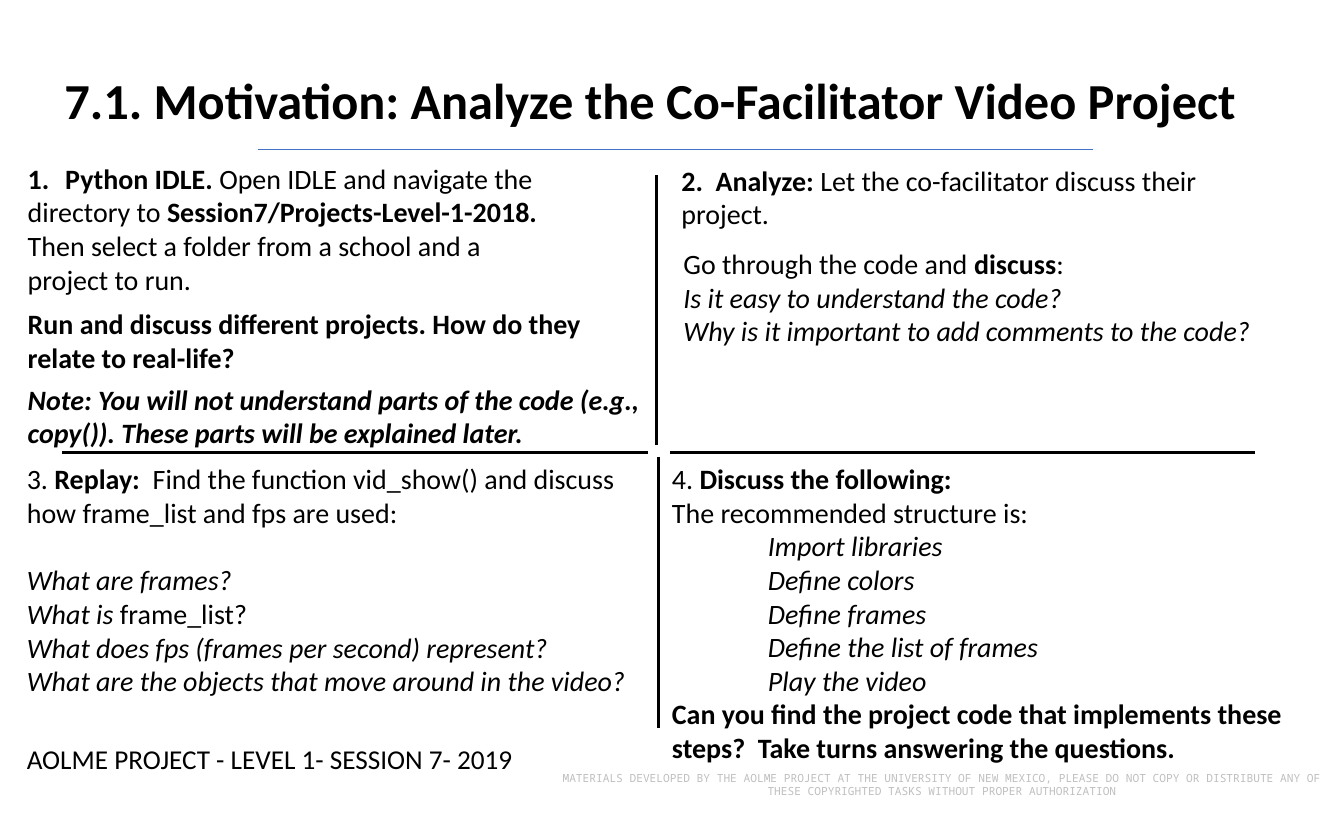
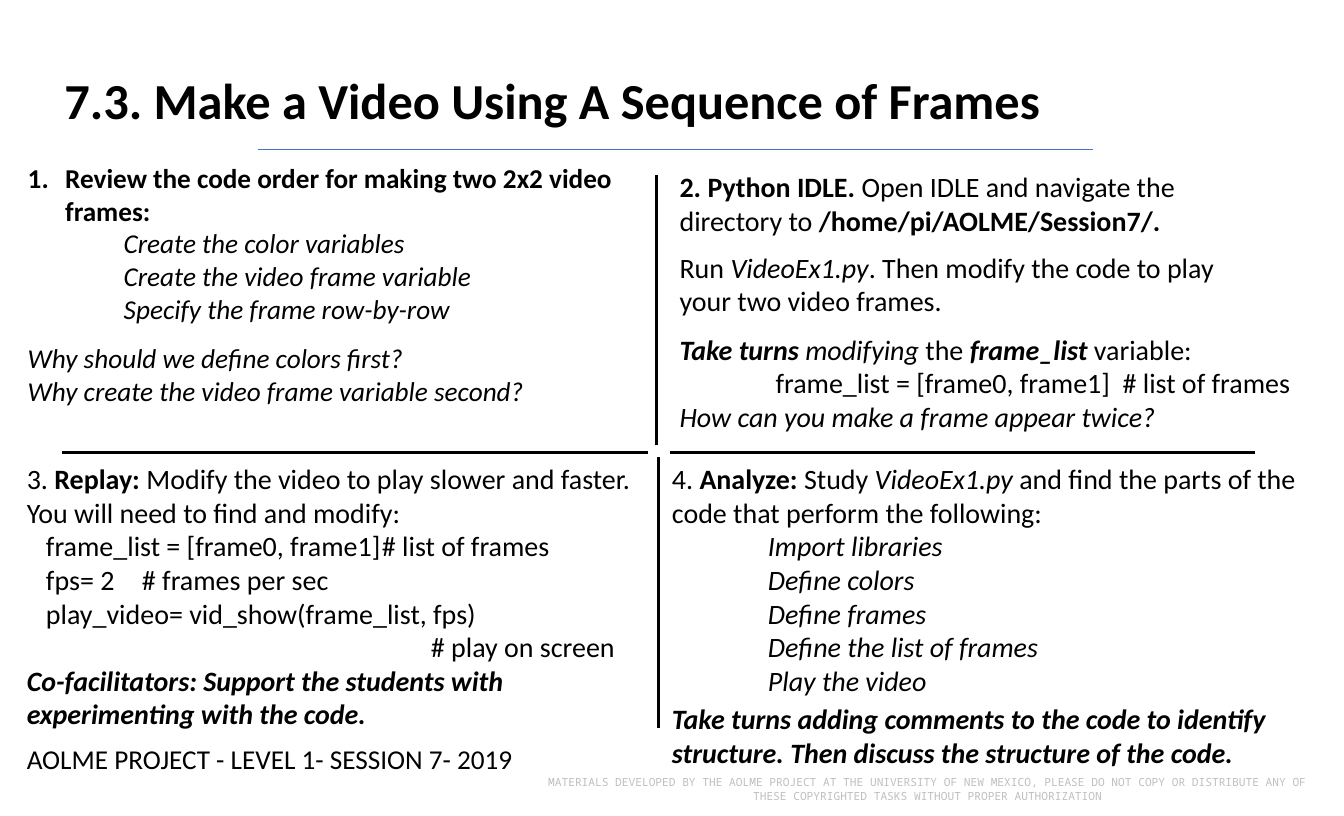
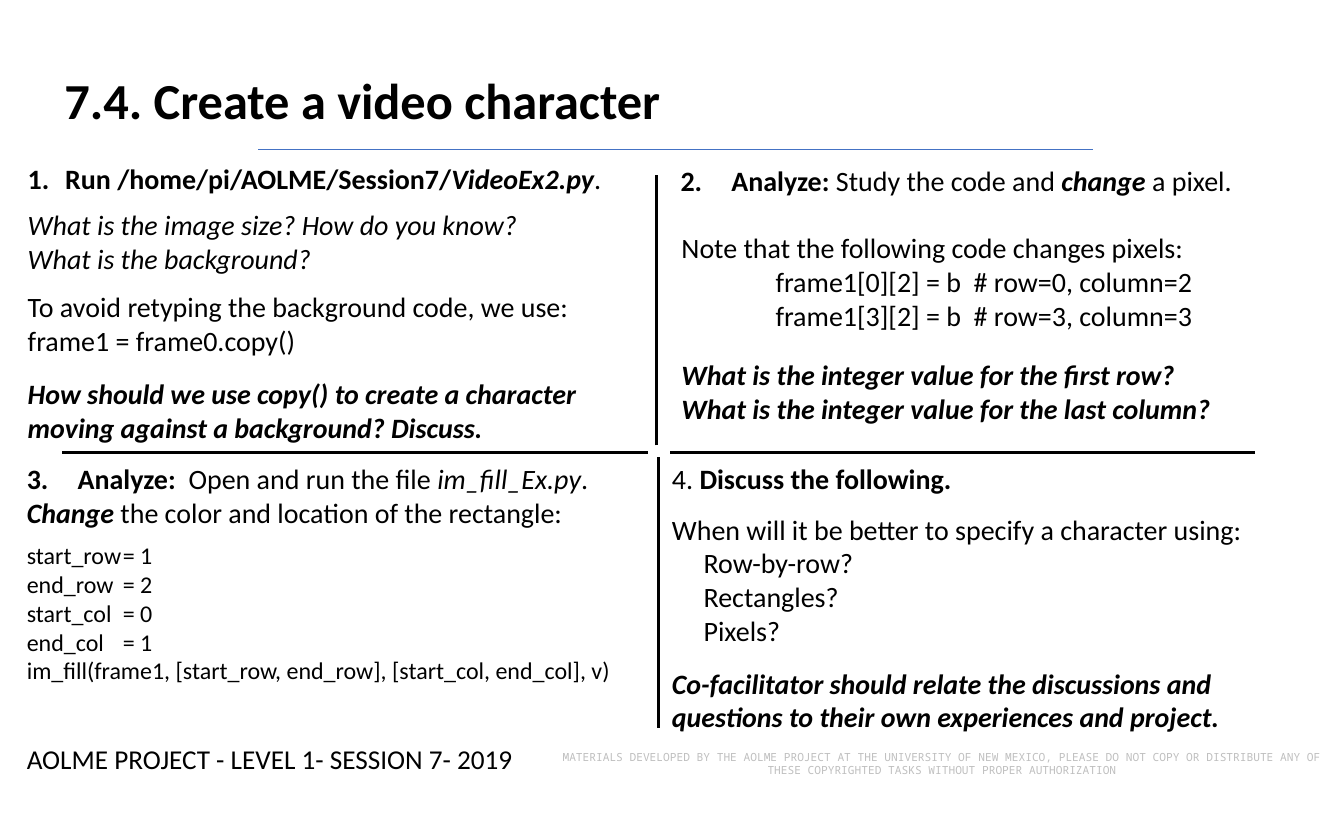
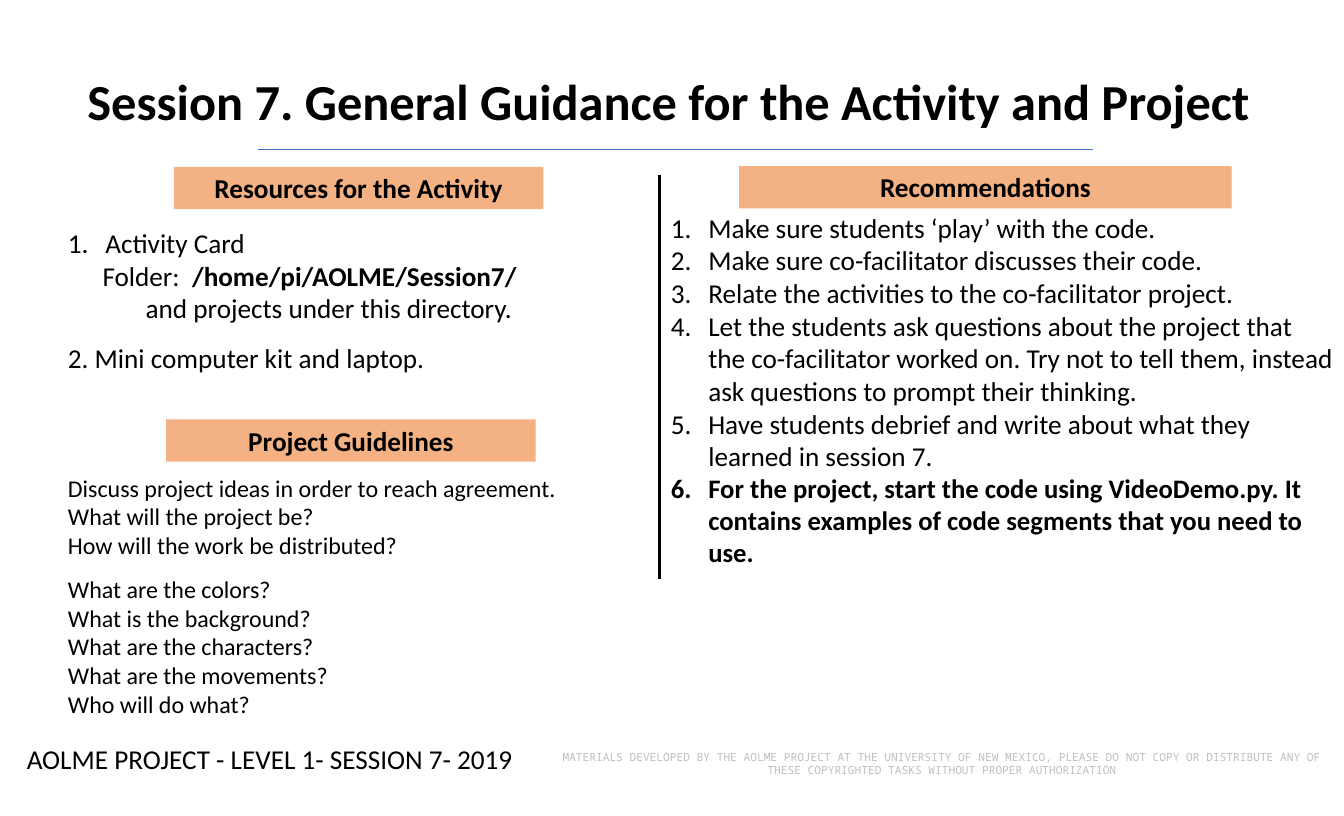
from lxml import etree
from pptx import Presentation
from pptx import util as u
from pptx.dml import color
from pptx.enum import shapes, text
from pptx.oxml import ns

BLACK, BLUE, PEACH, GREY = "000000", "4472C4", "F4B183", "BFBFBF"
LEFT, MID = text.PP_ALIGN.LEFT, text.PP_ALIGN.CENTER
FOOT = "AOLME PROJECT - LEVEL 1- SESSION 7- 2019"
NOTICE = ("MATERIALS DEVELOPED BY THE AOLME PROJECT AT THE UNIVERSITY OF NEW MEXICO, "
          "PLEASE DO NOT COPY OR DISTRIBUTE ANY OF THESE COPYRIGHTED TASKS "
          "WITHOUT PROPER AUTHORIZATION")

deck = Presentation()
deck.slide_width, deck.slide_height = u.Inches(14), u.Inches(8.5)
COL, ROW = deck.slide_width / 100, deck.slide_height / 100


def paint(fill, tint):
    fill.solid()
    fill.fore_color.rgb = color.RGBColor.from_string(tint)


def write(frame, lines, size=21, font="Calibri", tint=BLACK, bold=False,
          align=LEFT, anchor=text.MSO_ANCHOR.TOP, wrap=True):
    frame.word_wrap = wrap
    frame.auto_size = text.MSO_AUTO_SIZE.SHAPE_TO_FIT_TEXT
    frame.vertical_anchor = anchor
    for n, item in enumerate(lines):
        words, opt = (item, {}) if isinstance(item, str) else item
        para = frame.add_paragraph() if n else frame.paragraphs[0]
        para.alignment = align
        para.space_before = u.Pt(round(opt.get("gap", 0) * 1.22, 1))
        props = para._p.get_or_add_pPr()
        props.set("marL", str(u.Inches(opt.get("ind", 0))))
        props.set("indent", str(-u.Inches(opt.get("hang", 0))))
        if "num" in opt:
            mark = etree.SubElement(props, ns.qn("a:buAutoNum"), type="arabicPeriod")
            mark.set("startAt", str(opt["num"]))
        if "tab" in opt:
            stops = etree.SubElement(props, ns.qn("a:tabLst"))
            etree.SubElement(stops, ns.qn("a:tab"), pos=str(u.Inches(opt["tab"])), algn="l")
        slant = False
        for i, chunk in enumerate(words.split("*")):
            for j, part in enumerate(chunk.split("~")):
                slant ^= j > 0
                if part:
                    run = para.add_run()
                    run.text = part
                    face = run.font
                    face.name, face.size = font, u.Pt(opt.get("size", size))
                    face.bold, face.italic = bold or i % 2 == 1, slant
                    paint(face.fill, tint)


STEP = {"ind": 0.39, "hang": 0.39, "num": 1}
DEEP = {"ind": 1}
NUDGE = {"ind": 0.02}
CODE = {"ind": 0.2, "tab": 4.21}
VARS = {"size": 18, "tab": 1.08}

parts = [(f"~{name}~", DEEP) for name in (
    "Import libraries", "Define colors", "Define frames",
    "Define the list of frames", "Play the video")]

cross = [(4.64, 55.41, 48.21, 55.41), (49.86, 55.41, 93.36, 55.41),
         (49, 89.18, 49, 56), (48.86, 54.59, 48.86, 21.41)]
split = [(49.07, 70.94, 49.07, 21.41)]

pages = [
    dict(title="7.1. Motivation: Analyze the Co-Facilitator Video Project",
         head=(4.07, 7.88), bars=cross, note=(40.43, 93.76), tags=[], boxes=[
             ((49.86, 19.41, 46.21, 13.65), 21, [
                 ("*2.  Analyze: *Let the co-facilitator discuss their project.", NUDGE)]),
             ((49.29, 56, 49.79, 38.59), 21, [
                 "4. *Discuss the following:*",
                 "The recommended structure is:",
                 *parts,
                 "*Can you find the project code that implements these steps?  "
                 "Take turns answering the questions.*"]),
             ((1.29, 56, 47.64, 34.47), 21, [
                 "3. *Replay:  *Find the function vid_show() and discuss how "
                 "frame_list and fps are used:",
                 ("~What are frames?~", {"gap": 21}),
                 "~What is ~frame_list?",
                 "~What does fps (frames per second) represent?~",
                 "~What are the objects that move around in the video?~"]),
             ((1.36, 19.18, 50.21, 42.12), 21, [
                 ("*Python IDLE. *Open IDLE and navigate the", STEP),
                 "directory to *Session7/Projects-Level-1-2018.*",
                 "Then select a folder from a school and a",
                 "project to run.",
                 ("*Run and discuss different projects. How do they*", {"gap": 7}),
                 "*relate to real-life?*",
                 ("*~Note: You will not understand parts of the code (e.g., copy()). "
                  "These parts will be explained later.~*", {"gap": 5})]),
             ((50, 29.65, 48.71, 13.65), 21, [
                 ("Go through the code and *discuss*:", NUDGE),
                 ("~Is it easy to understand the code?~", NUDGE),
                 ("~Why is it important to add comments to the code?~", NUDGE)])]),
    dict(title="7.3. Make a Video Using A Sequence of Frames",
         head=(4.07, 7.88), bars=cross, note=(39.36, 94.35), tags=[], boxes=[
             ((49.29, 56, 49.79, 39.18), 21, [
                 "4. *Analyze:* Study ~VideoEx1.py~ and find the parts of the code "
                 "that perform the following:",
                 *parts,
                 ("*~Take turns adding comments to the code to identify structure. "
                  "Then discuss the structure of the code.~*", {"gap": 3.1})]),
             ((1.29, 56, 47.64, 34.47), 21, [
                 "3. *Replay: *Modify the video to play slower and faster.",
                 "You will need to find and modify:",
                 ("frame_list = [frame0, frame1]\t# list of frames", CODE),
                 ("fps= 2\t# frames per sec", CODE),
                 ("play_video= vid_show(frame_list, fps)", CODE),
                 ("# play on screen", {"ind": 4.21}),
                 "*~Co-facilitators: Support the students with experimenting "
                 "with the code.~*"]),
             ((1.36, 19.18, 45.57, 32.59), 20.4, [
                 ("*Review the code order for making two 2x2 video frames:*", STEP),
                 ("~Create the color variables~", DEEP),
                 ("~Create the video frame variable~", DEEP),
                 ("~Specify the frame row-by-row~", DEEP),
                 ("~Why should we define colors first?~", {"gap": 10.5}),
                 "~Why create the video frame variable second?~"]),
             ((49.86, 20.24, 50.21, 37.76), 21, [
                 "*2. Python IDLE. *Open IDLE and navigate the",
                 "directory to */home/pi/AOLME/Session7/.*",
                 ("Run ~VideoEx1.py~. Then modify the code to play", {"gap": 8}),
                 "your two video frames.",
                 ("*~Take turns*~~ modifying ~the *~frame_list *~variable:", {"gap": 9}),
                 ("frame_list = [frame0, frame1]  # list of frames", DEEP),
                 "~How can you make a frame appear twice?~"])]),
    dict(title="7.4. Create a video character",
         head=(4.07, 7.88), bars=cross, note=(40.43, 91.18), tags=[], boxes=[
             ((49.86, 19.41, 46.21, 34.47), 21, [
                 ("*Analyze: *Study the code and *~change~* a pixel.",
                  {"ind": 0.54, "hang": 0.53, "num": 2}),
                 ("Note that the following code changes pixels:", {**NUDGE, "gap": 21}),
                 ("frame1[0][2] = b  # row=0, column=2", DEEP),
                 ("frame1[3][2] = b  # row=3, column=3", DEEP),
                 ("*~What is the integer value for the first row?~*", {**NUDGE, "gap": 16}),
                 ("*~What is the integer value for the last column?~*", NUDGE)]),
             ((49.29, 56, 49.79, 34.71), 21, [
                 "4. *Discuss the following.*",
                 ("When will it be better to specify a character using:", {"gap": 10.5}),
                 *[(way, {"ind": 0.33}) for way in ("Row-by-row?", "Rectangles?", "Pixels?")],
                 ("*~Co-facilitator should relate the discussions and questions "
                  "to their own experiences and project.~*", {"gap": 12})]),
             ((1.29, 56, 47.64, 28.82), 21, [
                 ("*Analyze:  *Open and run the file ~im_fill_Ex.py~.",
                  {"ind": 0.53, "hang": 0.53, "num": 3}),
                 "*~Change~* the color and location of the rectangle:",
                 ("start_row\t= 1", {**VARS, "gap": 7.3}),
                 ("end_row\t= 2", VARS),
                 ("start_col\t= 0", VARS),
                 ("end_col\t= 1", VARS),
                 ("im_fill(frame1, [start_row, end_row], [start_col, end_col], v)", VARS)]),
             ((1.36, 19.18, 50.21, 36), 21, [
                 ("*Run /home/pi/AOLME/Session7/~VideoEx2.py~*.", STEP),
                 ("~What is the image size? How do you know?~", {"gap": 8}),
                 "~What is the background?~",
                 ("To avoid retyping the background code, we use:", {"gap": 9}),
                 "frame1 = frame0.copy()",
                 ("*~How should we use copy() to create a character~*", {"gap": 12}),
                 "*~moving against a background? Discuss.~*"])]),
    dict(title="Session 7. General Guidance for the Activity and Project",
         head=(5.79, 8), bars=split, note=(40.43, 91.18),
         tags=[("Resources for the Activity", 12.93, 20.47, 27.5),
               ("Recommendations", 55, 20.35, 36.64),
               ("Project Guidelines", 12.36, 51.41, 27.5)], boxes=[
             ((4.21, 27.18, 43.57, 23.41), 20.4, [
                 ("Activity Card", {**STEP, "ind": 0.41}),
                 ("Folder:  */home/pi/AOLME/Session7/*", {"ind": 0.38}),
                 ("and projects under this directory.", {"ind": 0.83}),
                 ("2. Mini computer kit and laptop.", {**NUDGE, "gap": 10.5})]),
             ((49.07, 25.29, 50.79, 45.41), 20.4, [
                 *[(tip, {**STEP, "ind": 0.41}) for tip in (
                     "Make sure students ‘play’ with the code.",
                     "Make sure co-facilitator discusses their code.",
                     "Relate the activities to the co-facilitator project.",
                     "Let the students ask questions about the project that the "
                     "co-facilitator worked on. Try not to tell them, instead ask "
                     "questions to prompt their thinking.",
                     "Have students debrief and write about what they learned in session 7.")],
                 ("*For the project, start the code using VideoDemo.py. It contains "
                  "examples of code segments that you need to use.*",
                  {**STEP, "ind": 0.41, "size": 20})]),
             ((4.21, 57.41, 43.57, 31.88), 18, [
                 ("Discuss project ideas in order to reach agreement.", NUDGE),
                 ("What will the project be?", NUDGE),
                 ("How will the work be distributed?", NUDGE),
                 ("What are the colors?", {**NUDGE, "gap": 9}),
                 ("What is the background?", NUDGE),
                 ("What are the characters?", NUDGE),
                 ("What are the movements?", NUDGE),
                 ("Who will do what?", NUDGE)])]),
]
for tip, step in enumerate(pages[3]["boxes"][1][2], 1):
    step[1]["num"] = 1

for page in pages:
    slide = deck.slides.add_slide(deck.slide_layouts[5])
    pen = slide.shapes

    rules = [(bar, BLACK, 2.25) for bar in page["bars"]]
    rules.append(((19.21, 18.35, 81.29, 18.35), BLUE, 1))
    for (x1, y1, x2, y2), tint, width in rules:
        rule = pen.add_connector(shapes.MSO_CONNECTOR.STRAIGHT, int(x1 * COL), int(y1 * ROW),
                                 int(x2 * COL), int(y2 * ROW))
        paint(rule.line.fill, tint)
        rule.line.width = u.Pt(width)
        etree.SubElement(rule._element.spPr, ns.qn("a:effectLst"))

    title = pen.title
    x, y = page["head"]
    title.left, title.top = int(x * COL), int(y * ROW)
    title.width, title.height = int(90 * COL), int(8.71 * ROW)
    write(title.text_frame, [page["title"]], size=37.8, bold=True)

    for name, x, y, w in page["tags"]:
        tag = pen.add_shape(shapes.MSO_SHAPE.RECTANGLE, int(x * COL), int(y * ROW),
                            int(w * COL), int(5.18 * ROW))
        tag.shadow.inherit = False
        paint(tag.fill, PEACH)
        tag.line.fill.background()
        write(tag.text_frame, [name], size=20.4, bold=True, align=MID)

    foot = dict(size=20.4, wrap=False)
    fine = dict(size=8.4, font="Noto Sans Mono", tint=GREY, align=MID,
                anchor=text.MSO_ANCHOR.MIDDLE)
    blocks = [(area, lines, dict(size=size)) for area, size, lines in page["boxes"]]
    blocks.append(((1.29, 90.35, 38.57, 5.18), [FOOT], foot))
    blocks.append(((*page["note"], 59.36, 4.71), [NOTICE], fine))
    for (x, y, w, h), lines, style in blocks:
        box = pen.add_textbox(int(x * COL), int(y * ROW), int(w * COL), int(h * ROW))
        write(box.text_frame, lines, **style)

deck.save("out.pptx")
